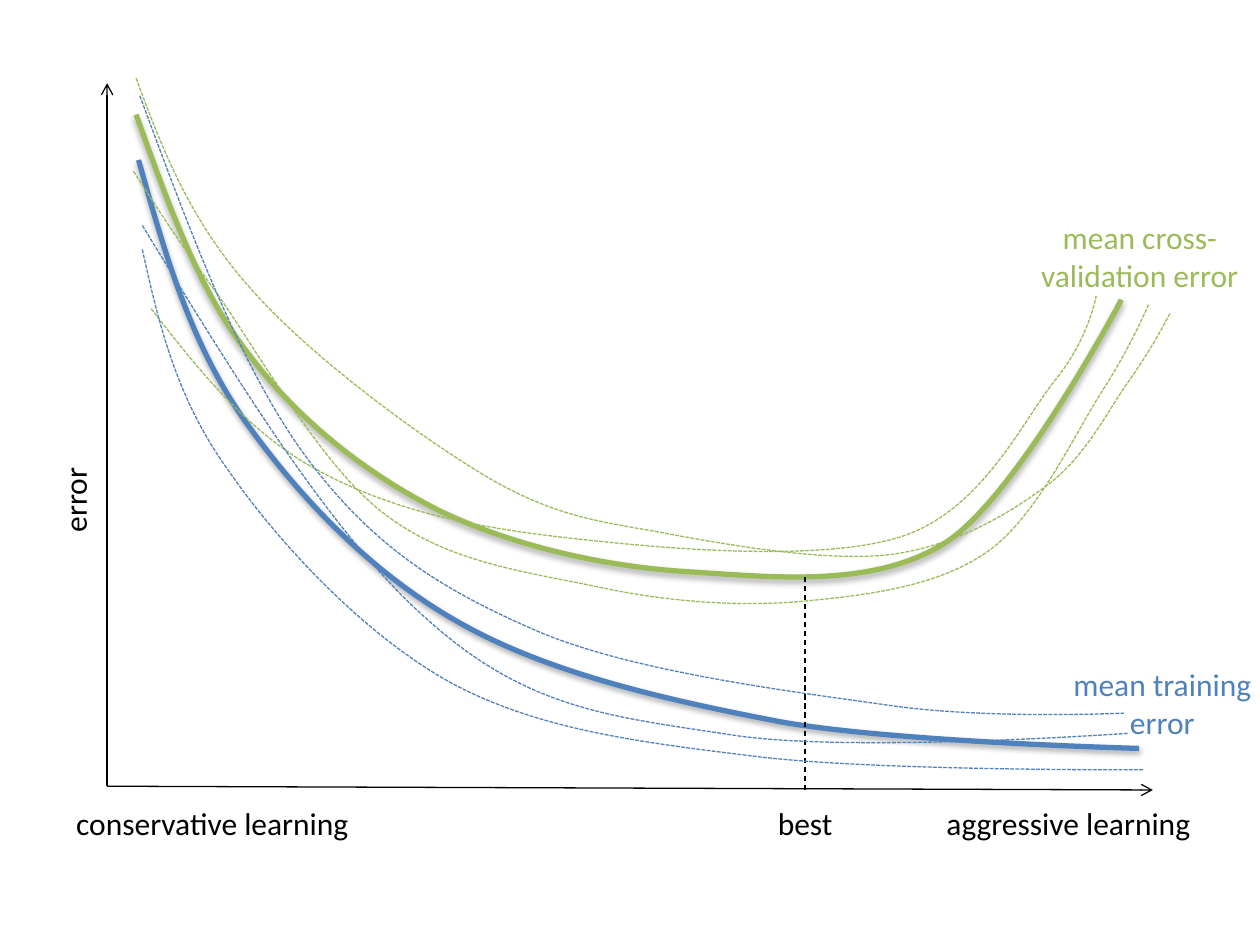
from pptx import Presentation
from pptx.dml.color import RGBColor
from pptx.enum.dml import MSO_LINE_DASH_STYLE as Dash
from pptx.enum.shapes import MSO_CONNECTOR as Connector
from pptx.enum.text import MSO_AUTO_SIZE as AutoSize, PP_ALIGN as Align
from pptx.oxml import parse_xml
from pptx.oxml.ns import nsdecls, qn
from pptx.oxml.xmlchemy import OxmlElement
from pptx.util import Inches, Pt

BLACK = RGBColor(0x00, 0x00, 0x00)
BLUE = RGBColor(0x4F, 0x81, 0xBD)
GREEN = RGBColor(0x9B, 0xBB, 0x59)

SHADOW = (
    f'<a:outerShdw {nsdecls("a")} blurRad="40000" dist="23000" dir="5400000" rotWithShape="0">'
    '<a:srgbClr val="000000"><a:alpha val="35000"/></a:srgbClr></a:outerShdw>'
)

MEAN_TRAINING = [
    (1.1, 1.27), (1.3, 1.98), (1.5, 2.7), (1.93, 3.32), (2.36, 3.93), (2.94, 4.55), (3.66, 4.95),
    (4.37, 5.35), (5.31, 5.56), (6.2, 5.73), (7.1, 5.89), (9.04, 5.94), (9.04, 5.94),
]
MEAN_VALIDATION = [
    (1.08, 0.91), (1.33, 1.6), (1.57, 2.3), (1.98, 2.82), (2.38, 3.35), (2.92, 3.77), (3.5, 4.06),
    (4.09, 4.34), (4.81, 4.5), (5.48, 4.54), (6.14, 4.58), (6.93, 4.67), (7.5, 4.31),
    (8.07, 3.95), (8.9, 2.38), (8.9, 2.38),
]
VALIDATION_FOLDS = [
    [(1.08, 0.62), (1.29, 1.19), (1.51, 1.75), (1.98, 2.28), (2.44, 2.81), (3.33, 3.47), (3.89, 3.8),
     (4.45, 4.12), (4.79, 4.14), (5.32, 4.24), (5.86, 4.34), (6.59, 4.46), (7.08, 4.4),
     (7.58, 4.33), (7.99, 4.09), (8.3, 3.86), (8.62, 3.63), (8.8, 3.24), (8.97, 3.01),
     (9.13, 2.78), (9.21, 2.63), (9.29, 2.48)],
    [(1.06, 1.36), (1.21, 1.59), (1.35, 1.82), (1.68, 2.27), (2.01, 2.72), (2.53, 3.68), (3.04, 4.07),
     (3.55, 4.47), (4.19, 4.54), (4.75, 4.66), (5.31, 4.78), (5.89, 4.82), (6.4, 4.77),
     (6.92, 4.72), (7.46, 4.65), (7.85, 4.37), (8.25, 4.08), (8.55, 3.4), (8.77, 3.07),
     (8.98, 2.74), (9.12, 2.41), (9.12, 2.41)],
    [(1.2, 2.45), (1.58, 2.94), (1.96, 3.42), (2.5, 3.72), (3.04, 4.02), (3.65, 4.17), (4.43, 4.26),
     (5.2, 4.35), (6.49, 4.47), (7.15, 4.26), (7.8, 4.05), (8.12, 3.33), (8.38, 3.01),
     (8.64, 2.69), (8.7, 2.35), (8.7, 2.35)],
]
TRAINING_FOLDS = [
    [(1.11, 0.76), (1.51, 1.84), (1.91, 2.93), (2.44, 3.64), (2.97, 4.35), (3.52, 4.69), (4.29, 5.02),
     (5.06, 5.34), (6.3, 5.49), (7.07, 5.6), (7.84, 5.71), (8.92, 5.66), (8.92, 5.66)],
    [(1.13, 1.98), (1.26, 2.57), (1.4, 3.16), (1.81, 3.73), (2.21, 4.31), (2.89, 5.04), (3.58, 5.42),
     (4.27, 5.79), (5.06, 5.89), (5.97, 6), (6.89, 6.12), (9.07, 6.11), (9.07, 6.11)],
    [(1.13, 1.79), (1.89, 3.03), (2.65, 4.28), (3.43, 4.95), (4.2, 5.63), (4.87, 5.69), (5.79, 5.83),
     (6.71, 5.98), (8.95, 5.82), (8.95, 5.82)],
]


class ErrorPlot:
    """Draws axes, curves and labels on one page in a shared style."""

    font = {"name": "Calibri", "size": Pt(18)}
    thin, thick = Pt(0.75), Pt(3)

    def __init__(self, page):
        self.page = page

    def line(self, start, end, arrow=False, dash=None):
        ends = [Inches(value) for value in (*start, *end)]
        connector = self.page.shapes.add_connector(Connector.STRAIGHT, *ends)
        connector.line.color.rgb = BLACK
        connector.line.width = self.thin
        if dash:
            connector.line.dash_style = dash
        if arrow:
            tail = OxmlElement("a:tailEnd")
            tail.set("type", "arrow")
            connector.line._get_or_add_ln().append(tail)
        connector._element.spPr.append(OxmlElement("a:effectLst"))

    def curve(self, points, color, mean=False):
        start, *rest = [(Inches(x), Inches(y)) for x, y in points]
        builder = self.page.shapes.build_freeform(*start)
        builder.add_line_segments(rest, close=False)
        shape = builder.convert_to_shape()
        outline = next(shape._element.iter(qn("a:path")))
        segments = outline.findall(qn("a:lnTo"))
        for first in range(0, len(segments), 3):
            bezier = OxmlElement("a:cubicBezTo")
            for segment in segments[first:first + 3]:
                bezier.append(segment[0])
                outline.remove(segment)
            outline.append(bezier)
        shape.fill.background()
        shape.line.color.rgb = color
        shape.line.width = self.thick if mean else self.thin
        shape.shadow.inherit = False
        if mean:
            shape._element.spPr.find(qn("a:effectLst")).append(parse_xml(SHADOW))
        else:
            shape.line.dash_style = Dash.SQUARE_DOT

    def label(self, text, frame, color=BLACK, wrap=False, rotation=0):
        box = self.page.shapes.add_textbox(*[Inches(value) for value in frame])
        box.rotation = rotation
        box.text_frame.word_wrap = wrap
        box.text_frame.auto_size = AutoSize.SHAPE_TO_FIT_TEXT
        para = box.text_frame.paragraphs[0]
        para.alignment = Align.CENTER
        span = para.add_run()
        span.text = text
        for name, value in self.font.items():
            setattr(span.font, name, value)
        span.font.color.rgb = color


def main():
    deck = Presentation()
    deck.slide_width, deck.slide_height = Inches(10), Inches(7.5)
    plot = ErrorPlot(deck.slides.add_slide(deck.slide_layouts[6]))

    origin = (0.85, 6.24)
    plot.line(origin, (9.15, 6.27), arrow=True)
    plot.line(origin, (0.85, 0.66), arrow=True)
    plot.label("aggressive learning", (7.4, 6.33, 2.16, 0.4))
    plot.label("conservative learning", (0.49, 6.33, 2.39, 0.4))
    plot.label("error", (0.23, 3.77, 0.72, 0.4), rotation=270)

    plot.curve(MEAN_TRAINING, BLUE, mean=True)
    plot.label("mean training error", (8.19, 5.23, 2.07, 0.71), BLUE, wrap=True)
    plot.curve(MEAN_VALIDATION, GREEN, mean=True)
    plot.label("mean cross-validation error", (8.15, 1.68, 1.79, 0.71), GREEN, wrap=True)

    plot.line((6.39, 4.58), (6.39, 6.27), dash=Dash.DASH)
    plot.label("best", (6.07, 6.33, 0.64, 0.4))

    for folds, color in ((VALIDATION_FOLDS, GREEN), (TRAINING_FOLDS, BLUE)):
        for points in folds:
            plot.curve(points, color)

    deck.save("out.pptx")


if __name__ == "__main__":
    main()
